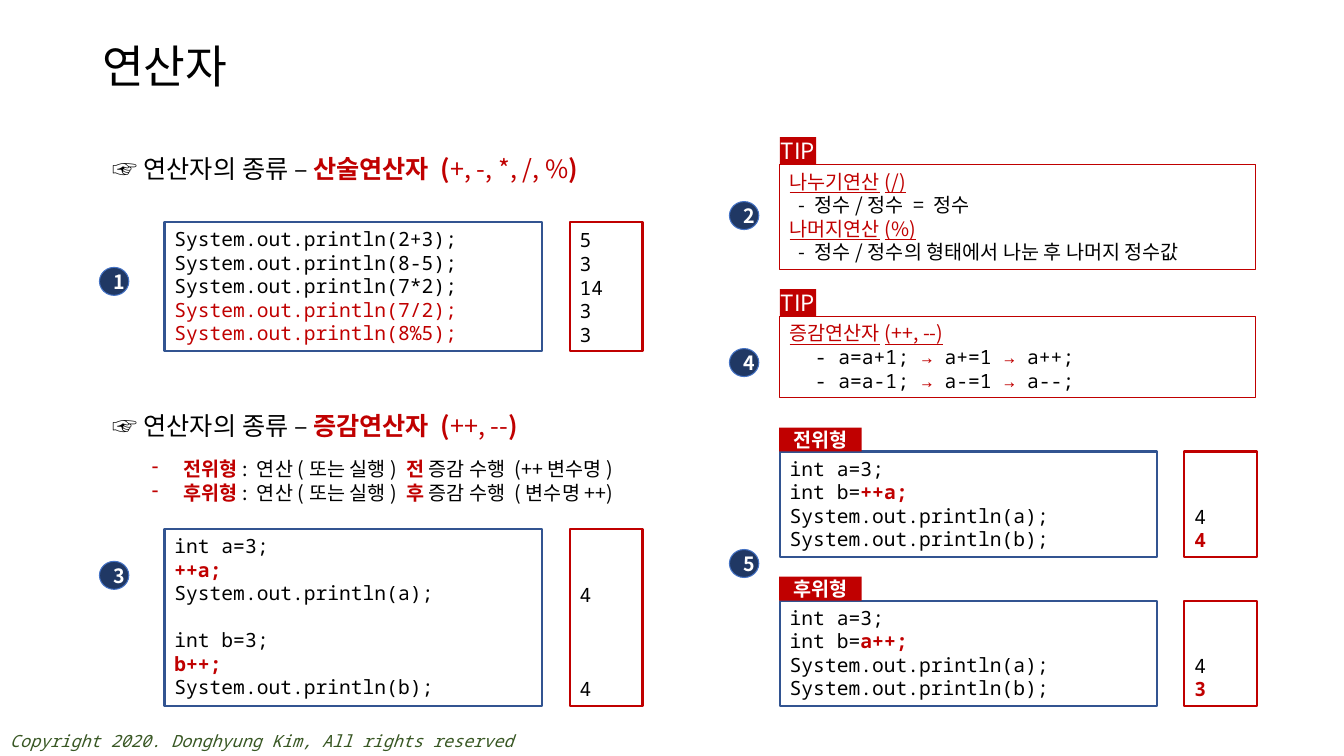
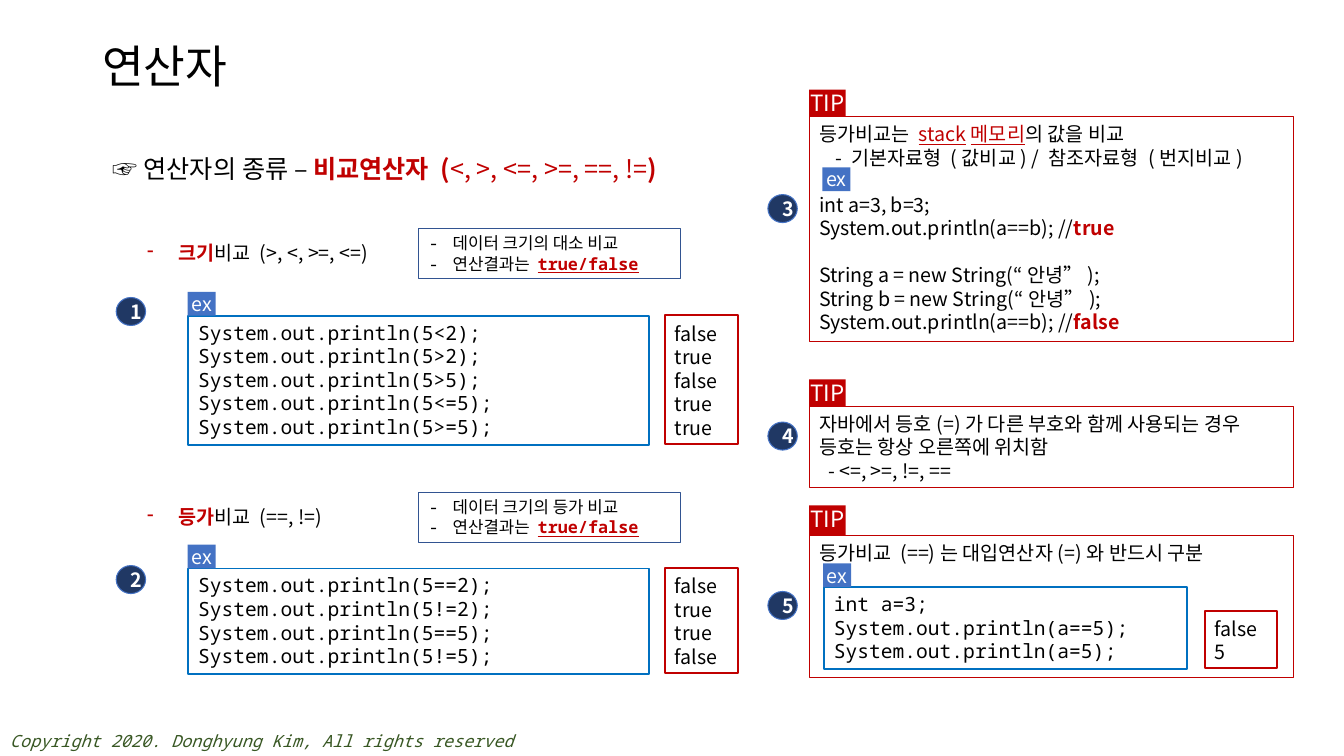
from pptx import Presentation
from pptx.dml.color import RGBColor
from pptx.enum.shapes import MSO_SHAPE
from pptx.enum.text import MSO_ANCHOR, PP_ALIGN
from pptx.oxml.ns import qn
from pptx.util import Pt
from lxml import etree

RECTANGLE, OVAL = MSO_SHAPE.RECTANGLE, MSO_SHAPE.OVAL
TOP, MIDDLE, BOTTOM = MSO_ANCHOR.TOP, MSO_ANCHOR.MIDDLE, MSO_ANCHOR.BOTTOM
LEFT, CENTER = PP_ALIGN.LEFT, PP_ALIGN.CENTER

# Shared colours, fonts and run styles
BLACK, WHITE, CRIMSON, GREEN = "000000", "FFFFFF", "C00000", "385723"
NAVY, BLUE, CODE_BLUE, SKY = "203864", "4472C4", "325491", "0070C0"
SANS, MONO = "Noto Sans CJK KR", "Noto Sans Mono"
RED = {"color": CRIMSON}
STRONG = {"color": CRIMSON, "bold": True}
LINKED = {"color": CRIMSON, "underline": True}
STRONG_LINKED = {**STRONG, "underline": True}

LINE_RATIO = 1.2
BULLET_INDENT = 22.5


def rgb(color):
    return RGBColor.from_string(color)


def line(*runs, gap=0, indent=0, bullet=False):
    """A paragraph; gap counts the empty lines above it."""
    return {"runs": runs, "gap": gap, "indent": indent, "bullet": bullet}


def as_lines(items):
    return [item if isinstance(item, dict) else line(item) for item in items]


def box_height(lines):
    return 17 * sum(1 + item["gap"] for item in as_lines(lines)) + 7.2


class Deck:
    def __init__(self):
        self.presentation = Presentation()
        self.presentation.slide_width = Pt(960)
        self.presentation.slide_height = Pt(540)
        self.slide = None

    def add_slide(self, title):
        layout = self.presentation.slide_layouts[6]
        self.slide = self.presentation.slides.add_slide(layout)
        self.text([title], 66, 29, 828, 39, size=32.4, anchor=MIDDLE, ratio=1.08)
        self.text(["Copyright 2020. Donghyung Kim, All rights reserved"],
                  0, 518.4, 518, 21.6, size=12, font=MONO, color=GREEN, italic=True)

    # Text
    def set_text(self, shape, lines, align=LEFT, anchor=TOP, inset=None,
                 ratio=LINE_RATIO, size=14, font=SANS, color=BLACK, **style):
        frame = shape.text_frame
        frame.word_wrap = True
        frame.vertical_anchor = anchor
        if inset is not None:
            for side in ("left", "right", "top", "bottom"):
                setattr(frame, "margin_" + side, Pt(inset))
        for index, item in enumerate(as_lines(lines)):
            paragraph = frame.paragraphs[0] if index == 0 else frame.add_paragraph()
            pitch = Pt(size * ratio)
            layout = {"alignment": align, "line_spacing": pitch,
                      "space_before": pitch * item["gap"]}
            for name, value in layout.items():
                setattr(paragraph, name, value)
            self.indent(paragraph, item)
            for run in item["runs"]:
                words, changes = (run, {}) if isinstance(run, str) else run
                base = {"size": Pt(size), "name": font, "color": color}
                self.add_run(paragraph, words, {**base, **style, **changes})

    def indent(self, paragraph, item):
        properties = paragraph._p.get_or_add_pPr()
        if item["bullet"]:
            properties.set("marL", str(Pt(BULLET_INDENT)))
            properties.set("indent", str(-Pt(BULLET_INDENT)))
            etree.SubElement(properties, qn("a:buChar")).set("char", "-")
        elif item["indent"]:
            properties.set("marL", str(Pt(item["indent"])))

    def add_run(self, paragraph, words, values):
        run = paragraph.add_run()
        run.text = words
        for name, value in values.items():
            if name == "color":
                run.font.color.rgb = rgb(value)
            else:
                setattr(run.font, name, value)
        # Korean letters take their face from the East Asian font
        east_asian = etree.Element(qn("a:ea"))
        east_asian.set("typeface", SANS)
        run._r.get_or_add_rPr().find(qn("a:latin")).addnext(east_asian)

    def text(self, lines, left, top, width, height, **style):
        shape = self.slide.shapes.add_textbox(Pt(left), Pt(top), Pt(width), Pt(height))
        self.set_text(shape, lines, **style)

    def heading(self, name, symbols, top):
        runs = line("☞ 연산자의 종류 – ", (name + " (", STRONG), (symbols, RED), (")", STRONG))
        self.text([runs], 73.5, top, 493, 29, size=18)

    # Shapes
    def shape(self, kind, lines, left, top, width, height,
              fill=None, border=None, weight=0.75, **style):
        shape = self.slide.shapes.add_shape(kind, Pt(left), Pt(top), Pt(width), Pt(height))
        shape.shadow.inherit = False
        if fill:
            shape.fill.solid()
            shape.fill.fore_color.rgb = rgb(fill)
        else:
            shape.fill.background()
        if border:
            shape.line.color.rgb = rgb(border)
            shape.line.width = Pt(weight)
        else:
            shape.line.fill.background()
        self.set_text(shape, lines, **style)

    def code(self, lines, left, top, width, border=CODE_BLUE, weight=1.5):
        self.shape(RECTANGLE, lines, left, top, width, box_height(lines),
                   border=border, weight=weight, font=MONO)

    def result(self, lines, left, bottom, height, font=MONO):
        self.shape(RECTANGLE, lines, left, bottom - height, 52, height,
                   border=CRIMSON, weight=1.5, font=font, anchor=BOTTOM)

    def program(self, code, output, left, top, width=269.5, result_left=407):
        """Code with its output beside it, both equally tall."""
        height = box_height(code)
        self.code(code, left, top, width)
        self.result(output, result_left, top + height, height)

    def tag(self, label, left, bottom, width, height=17, fill=CRIMSON, **style):
        self.shape(RECTANGLE, [label], left, bottom - height, width, height, fill=fill,
                   inset=0, align=CENTER, color=WHITE, **style)

    def example(self, code, left, top, width):
        self.code(code, left, top, width, border=SKY, weight=1.25)
        self.example_tag(left - 0.5, top)

    def example_tag(self, left, bottom):
        self.tag("ex", left, bottom, 20, fill=BLUE)

    def tip(self, lines, left, top, width, height=None, tag_height=19.5):
        self.shape(RECTANGLE, lines, left, top, width, height or box_height(lines),
                   border=CRIMSON)
        self.tag("TIP", left, top, 26, tag_height, size=16)

    def note(self, subject, top):
        lines = ["- 데이터 크기의 " + subject,
                 line("- 연산결과는 ", ("true/false", STRONG_LINKED))]
        self.shape(RECTANGLE, lines, 299, top, 187, 36, border=CODE_BLUE, size=12, font=MONO)

    def badges(self, places):
        for number, (left, top) in enumerate(places, 1):
            self.shape(OVAL, [str(number)], left, top, 21, 20, fill=NAVY, border=BLUE,
                       align=CENTER, anchor=MIDDLE, color=WHITE, bold=True)


def println(expression):
    return f"System.out.println({expression});"


deck = Deck()

# Slide 1: arithmetic and increment operators
deck.add_slide("연산자")
deck.heading("산술연산자", "+, -, *, /, %", 106)
deck.program([println("2+3"), println("8-5"), println("7*2"),
              line((println("7/2"), RED)), line((println("8%5"), RED))],
             ["5", "3", "14", "3", "3"], 117.5, 158.5)

deck.heading("증감연산자", "++, --", 289.5)
deck.text([line((kind + "위형", STRONG), ": 연산(또는 실행) ", (kind, STRONG),
                f" 증감 수행 ({usage})", bullet=True)
           for kind, usage in (("전", "++변수명"), ("후", "변수명++"))],
          101.5, 323, 365, 41)
deck.program(["int a=3;", line(("++a;", STRONG)), println("a"),
              line("int b=3;", gap=1), line(("b++;", STRONG)), println("b")],
             ["4", line("4", gap=3)], 117.5, 378)

# Tips on the right
deck.tip([line(("나누기연산(/)", LINKED)), line("- 정수/정수 = 정수", indent=6.5),
          line(("나머지연산(%)", LINKED)),
          line("- 정수/정수의 형태에서 나눈 후 나머지 정수값", indent=6.5)],
         557, 117.5, 340)
mono, mono_red = {"name": MONO}, {"name": MONO, **RED}
deck.tip([line(("증감연산자(++, --)", LINKED))] +
         [line((f"- a=a{sign}1; ", mono), ("→", mono_red), (f" a{sign}=1 ", mono),
               ("→", mono_red), (f" a{sign}{sign};", mono), indent=18) for sign in "+-"],
         557, 226, 340)

# Prefix and postfix forms
for form, expression, value, top in (("전위형", "++a;", "4", 322.5),
                                     ("후위형", "a++;", "3", 429)):
    deck.program(["int a=3;", line("int b=", (expression, STRONG)),
                  println("a"), println("b")],
                 ["4", line((value, STRONG))], 557, top, result_left=846)
    deck.tag(form, 556.5, top, 59, bold=True)
deck.badges([(71, 191), (521, 144), (71, 401), (521, 249), (521, 392.5)])

# Slide 2: comparison operators
deck.add_slide("연산자")
deck.heading("비교연산자", "<, >, <=, >=, ==, !=", 106)
comparisons = (
    ("크기", " (>, <, >=, <=)", "대소 비교", 163, 225.5,
     {"5<2": "false", "5>2": "true", "5>5": "false", "5<=5": "true", "5>=5": "true"}),
    ("등가", " (==, !=)", "등가 비교", 351.5, 406,
     {"5==2": "false", "5!=2": "true", "5==5": "true", "5!=5": "false"}),
)
for kind, symbols, subject, note_top, code_top, answers in comparisons:
    deck.text([line((kind, STRONG), "비교" + symbols, bullet=True)],
              98, note_top + 5.5, 191, 24.5)
    if subject == "등가 비교":
        subject = "등가 비교"
    deck.note(subject, note_top)
    deck.example([println(expression) for expression in answers], 134.5, code_top, 329)
    height = box_height(answers)
    deck.result(list(answers.values()), 475, code_top + height - 0.5, height, SANS)

# Tips on the right
deck.tip([line("등가비교는 ", ("stack메모리", LINKED), "의 값을 비교"),
          line("- 기본자료형 (값비교) / 참조자료형 (번지비교)", indent=11.5),
          line("int a=3, b=3;", gap=1),
          line("System.out.println(a==b); //", ("true", STRONG)),
          line("String a = new String(“안녕”);", gap=1),
          "String b = new String(“안녕”);",
          line("System.out.println(a==b); //", ("false", STRONG))],
         578, 83.5, 346)
deck.example_tag(587.5, 136.5)
deck.tip(["자바에서 등호(=)가 다른 부호와 함께 사용되는 경우 등호는 항상 오른쪽에 위치함",
          line("- <=, >=, !=, ==", indent=6.5)], 578, 290.5, 346, height=58)
deck.tip(["등가비교 (==)는 대입연산자(=)와 반드시 구분"], 578, 382.5, 346,
         height=101.5, tag_height=21.5)
deck.example(["int a=3;", println("a==5"), println("a=5")], 588.5, 419.5, 259.5)
deck.result(["false", "5"], 860.5, 477.5, 41, SANS)
deck.badges([(83, 212.5), (83, 404), (548.5, 139), (548.5, 301.5), (548.5, 422.5)])

deck.presentation.save("out.pptx")
